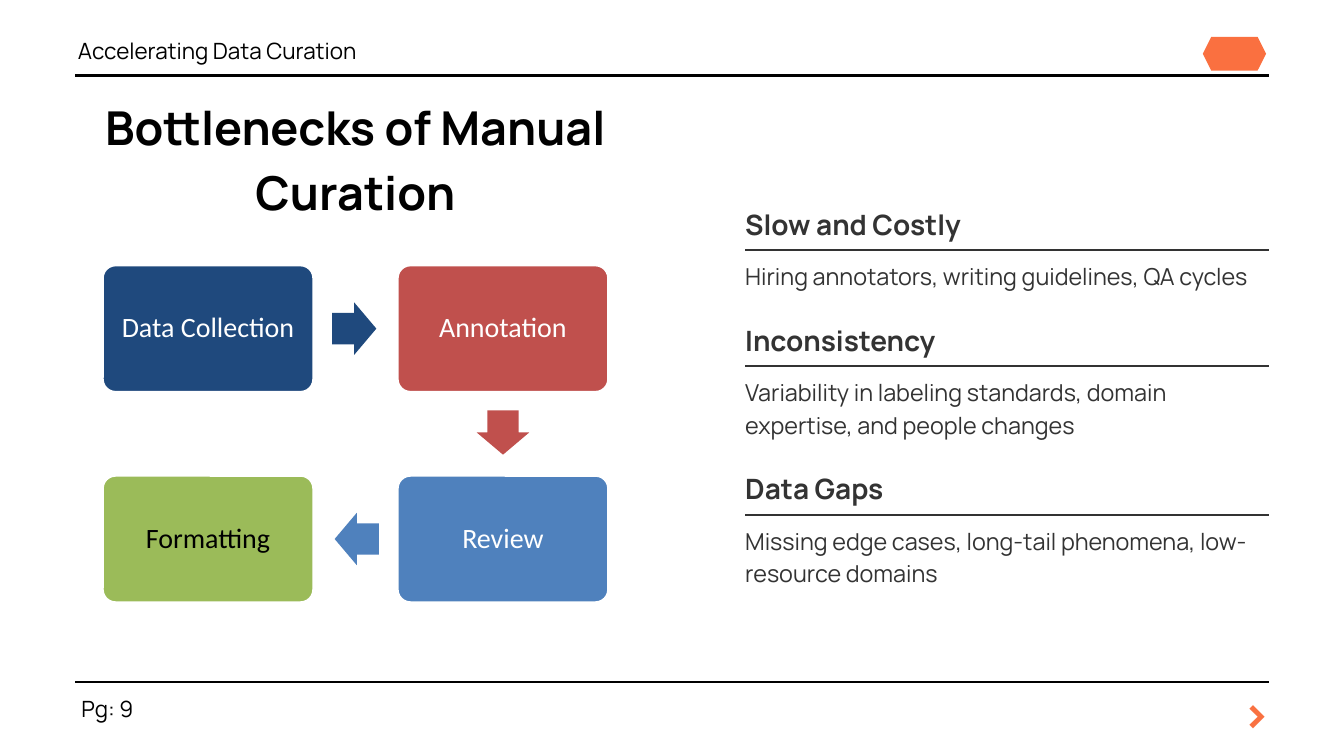
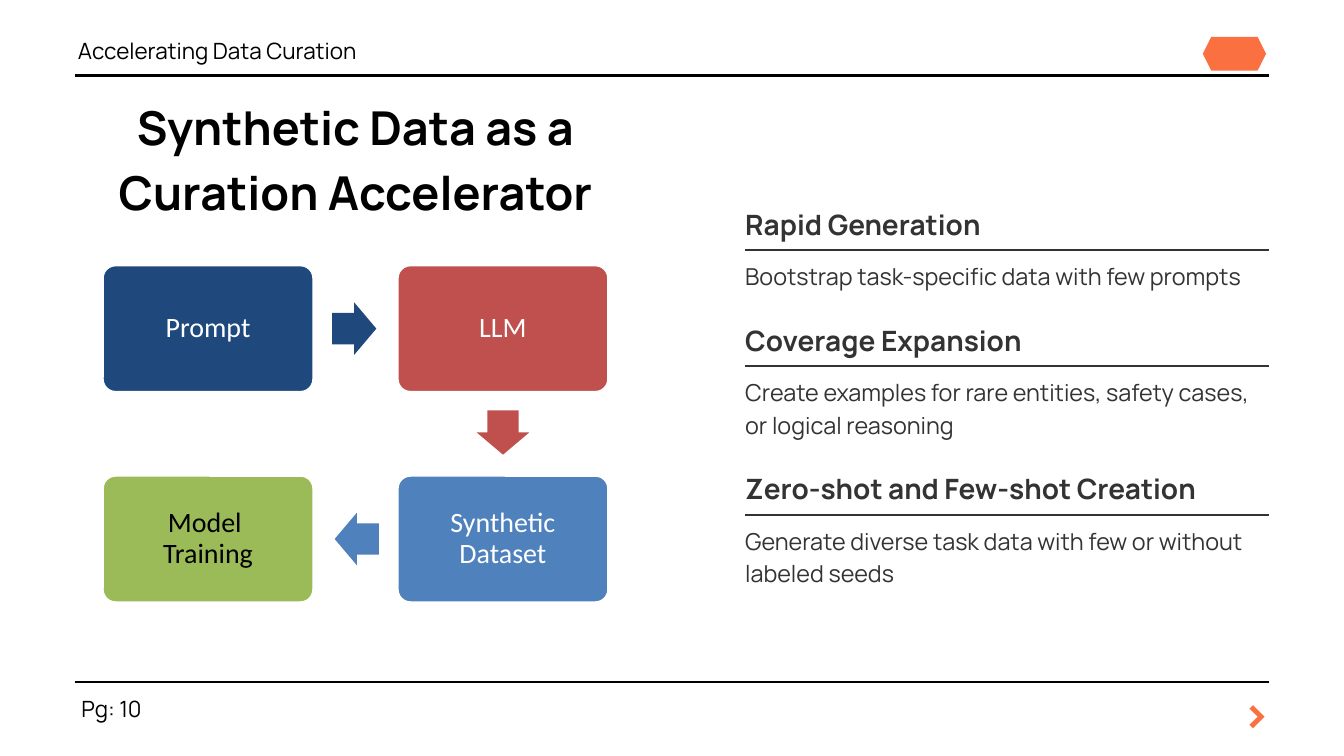
from dataclasses import dataclass
from math import atan2, cos, degrees, sin

from lxml import etree
from pptx import Presentation
from pptx import util as u
from pptx.dml.color import RGBColor
from pptx.enum import shapes, text
from pptx.oxml import ns

HUES = {
    "black": "000000", "ink": "333333", "white": "FFFFFF", "brand": "FA7040",
    "next": "F97141", "navy": "1F497D", "red": "C0504D", "blue": "4F81BD",
    "green": "9BBB59",
}
LEFT, RIGHT = 80.64, 1359.36
SIDE = 798.5  # left edge of the points column
LINE = 35  # line pitch of the body text
BOX_W, BOX_H = 225.4, 135.4
ARROW_W, ARROW_H, PULL = 47.5, 56.2, 1.4
ALIGN = text.PP_ALIGN


@dataclass(frozen=True)
class Style:
    size: float
    pitch: float
    hue: str = "black"
    bold: bool = False
    align: text.PP_ALIGN = ALIGN.LEFT
    font: str = "Manrope"


@dataclass(frozen=True)
class Step:
    """A flow box: its place by column and row, fill and text hue."""
    col: int
    row: int
    fill: str
    hue: str = "white"

    @property
    def left(self) -> float:
        return 110.2 + 316 * self.col

    @property
    def top(self) -> float:
        return 284.4 + 225.4 * self.row

    @property
    def mid(self) -> tuple[float, float]:
        return self.left + BOX_W / 2, self.top + BOX_H / 2


@dataclass(frozen=True)
class Point:
    head: str
    body: str
    lines: int = 2


@dataclass(frozen=True)
class Page:
    title: str
    steps: tuple[str, ...]
    points: tuple[Point, ...]


TITLE = Style(50, 70, bold=True, align=ALIGN.CENTER)
SMALL = Style(24, 33.6)
HEAD = Style(30, 42, "ink", True, ALIGN.JUSTIFY)
BODY = Style(25, LINE, "ink")
NEXT = Style(52, 72.8, "next", True, ALIGN.CENTER)

FLOW = (
    Step(0, 0, "navy"),
    Step(1, 0, "red"),
    Step(1, 1, "blue"),
    Step(0, 1, "green", "black"),
)

PAGES = (
    Page(
        "Bottlenecks of Manual Curation",
        ("Data Collection", "Annotation", "Review", "Formatting"),
        (
            Point("Slow and Costly",
                  "Hiring annotators, writing guidelines, QA cycles", 1),
            Point("Inconsistency",
                  "Variability in labeling standards, domain expertise, and people changes"),
            Point("Data Gaps",
                  "Missing edge cases, long-tail phenomena, low-resource domains"),
        ),
    ),
    Page(
        "Synthetic Data as a Curation Accelerator",
        ("Prompt", "LLM", "Synthetic Dataset", "Model \vTraining"),
        (
            Point("Rapid Generation",
                  "Bootstrap task-specific data with few prompts", 1),
            Point("Coverage Expansion",
                  "Create examples for rare entities, safety cases, or logical reasoning"),
            Point("Zero-shot and Few-shot Creation",
                  "Generate diverse task data with few or without labeled seeds"),
        ),
    ),
)


def paint(name: str) -> RGBColor:
    return RGBColor.from_string(HUES[name])


def apply(item, values: dict) -> None:
    for key, value in values.items():
        setattr(item, key, value)


def write(shape, words: str, style: Style, pad: float = 0,
          anchor=text.MSO_ANCHOR.TOP) -> None:
    """Fill a shape's text frame with one styled paragraph."""
    frame = shape.text_frame
    frame.text = words
    sides = ("left", "top", "right", "bottom")
    apply(frame, {f"margin_{side}": u.Pt(pad) for side in sides})
    apply(frame, {"word_wrap": True, "vertical_anchor": anchor,
                  "auto_size": text.MSO_AUTO_SIZE.NONE})
    para = frame.paragraphs[0]
    # A pitch below 2 is a multiple of the line height, not a length.
    pitch = style.pitch if style.pitch < 2 else u.Pt(style.pitch)
    apply(para, {"alignment": style.align, "line_spacing": pitch})
    for run in para.runs:
        apply(run.font, {"name": style.font, "size": u.Pt(style.size),
                         "bold": style.bold})
        run.font.color.rgb = paint(style.hue)


def label(slide, words: str, style: Style, left: float, top: float,
          width: float, height: float) -> None:
    box = slide.shapes.add_textbox(*map(u.Pt, (left, top, width, height)))
    write(box, words, style)


def rule(slide, left: float, top: float, hue: str, weight: float) -> None:
    """Draw a level line from left to the right margin."""
    line = slide.shapes.add_connector(
        shapes.MSO_CONNECTOR.STRAIGHT, *map(u.Pt, (left, top, RIGHT, top)))
    line.line.color.rgb = paint(hue)
    line.line.width = u.Pt(weight)
    etree.SubElement(line._element.spPr, ns.qn("a:effectLst"))


def block(slide, kind, left: float, top: float, width: float, height: float,
          fill: str):
    """Add a flat preset shape without an outline."""
    shape = slide.shapes.add_shape(kind, *map(u.Pt, (left, top, width, height)))
    shape.shadow.inherit = False
    shape.fill.solid()
    shape.fill.fore_color.rgb = paint(fill)
    shape.line.fill.background()
    return shape


def frame(slide, title: str, number: int) -> None:
    """Set the title, the header and the footer."""
    head = slide.shapes.title
    apply(head, {"left": u.Pt(LEFT), "top": u.Pt(95.8),
                 "width": u.Pt(600.5), "height": u.Pt(136)})
    write(head, title, TITLE)
    for top in (80.64, 730.8):
        rule(slide, LEFT, top, "black", 3)
    block(slide, shapes.MSO_SHAPE.HEXAGON, 1288.8, 39.6, 67.7, 36, "brand")
    label(slide, "Accelerating Data Curation", SMALL, 83.5, 34.6, 1203, 31.7)
    label(slide, f"Pg: {number}", SMALL, 87.1, 740.2, 81.4, 31.7)
    label(slide, ">", NEXT, 1329.1, 722.2, 29.5, 70.6)


def arrow(slide, start: Step, end: Step) -> None:
    """Point from one box to the next, set slightly back from the middle."""
    (ax, ay), (bx, by) = start.mid, end.mid
    turn = atan2(by - ay, bx - ax)
    x = (ax + bx) / 2 - PULL * cos(turn)
    y = (ay + by) / 2 - PULL * sin(turn)
    shape = block(slide, shapes.MSO_SHAPE.RIGHT_ARROW, x - ARROW_W / 2,
                  y - ARROW_H / 2, ARROW_W, ARROW_H, start.fill)
    shape.adjustments[0], shape.adjustments[1] = 0.6, 0.5
    shape.rotation = degrees(turn)


def flow(slide, names: tuple[str, ...]) -> None:
    for step, name in zip(FLOW, names):
        box = block(slide, shapes.MSO_SHAPE.ROUNDED_RECTANGLE, step.left,
                    step.top, BOX_W, BOX_H, step.fill)
        box.adjustments[0] = 0.1
        box.line.color.rgb = paint("white")
        box.line.width = u.Pt(2)
        style = Style(30, 0.9, step.hue, align=ALIGN.CENTER, font="Calibri")
        write(box, name, style, 12.5, text.MSO_ANCHOR.MIDDLE)
    for start, end in zip(FLOW, FLOW[1:]):
        arrow(slide, start, end)


def column(slide, points: tuple[Point, ...]) -> None:
    """Stack the underlined headings and their text on the right."""
    top, width = 216, RIGHT - SIDE
    for point in points:
        tall = LINE * point.lines
        label(slide, point.head, HEAD, SIDE, top, width, 39.6)
        rule(slide, SIDE, top + 51.8, "ink", 2.25)
        label(slide, point.body, BODY, SIDE, top + 59.8, width, tall)
        top += 59.8 + tall + 29.5


def main() -> None:
    deck = Presentation()
    apply(deck, {"slide_width": u.Pt(1440), "slide_height": u.Pt(810)})
    plain = deck.slide_layouts.get_by_name("Title Only")
    for number, page in enumerate(PAGES, start=9):
        slide = deck.slides.add_slide(plain)
        frame(slide, page.title, number)
        flow(slide, page.steps)
        column(slide, page.points)
    deck.save("out.pptx")


if __name__ == "__main__":
    main()
